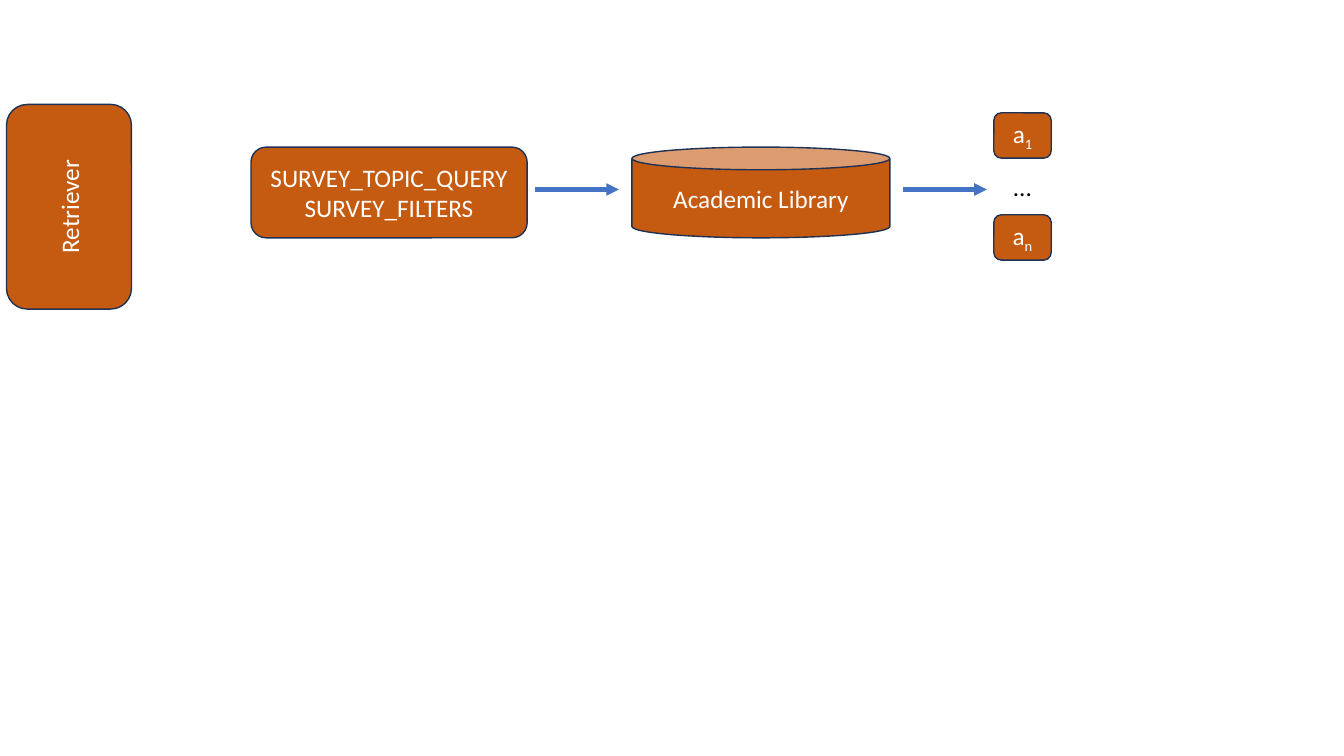
from lxml import etree
from pptx import Presentation
from pptx.dml.color import RGBColor
from pptx.enum import shapes, text
from pptx.oxml import ns
from pptx.util import Pt

RUST = RGBColor(0xC5, 0x5A, 0x11)
NAVY = RGBColor(0x1E, 0x32, 0x56)
BLUE = RGBColor(0x44, 0x72, 0xC4)
WHITE = RGBColor(0xFF, 0xFF, 0xFF)
BLACK = RGBColor(0, 0, 0)
ROUND = shapes.MSO_SHAPE.ROUNDED_RECTANGLE
CAN = shapes.MSO_SHAPE.CAN


class Board:
    """Draws the retriever flow on one slide in a shared style."""

    font, size = "Calibri", Pt(18)

    def __init__(self, slide):
        self.shapes = slide.shapes

    def letter(self, frame, lines, color, align):
        for i, line in enumerate(lines):
            para = frame.paragraphs[0] if i == 0 else frame.add_paragraph()
            para.alignment = align
            for word, base in line:
                run = para.add_run()
                run.text = word
                run.font.name, run.font.size = self.font, self.size
                run.font.color.rgb = color
                if base:
                    run.font._element.set("baseline", str(base))

    def node(self, kind, x, y, w, h, lines, turn=0):
        node = self.shapes.add_shape(kind, Pt(x), Pt(y), Pt(w), Pt(h))
        node.shadow.inherit = False
        node.rotation = turn
        node.fill.solid()
        node.fill.fore_color.rgb = RUST
        node.line.color.rgb = NAVY
        node.line.width = Pt(1)
        node.text_frame.word_wrap = True
        node.text_frame.vertical_anchor = text.MSO_ANCHOR.MIDDLE
        self.letter(node.text_frame, lines, WHITE, text.PP_ALIGN.CENTER)

    def label(self, x, y, w, h, lines):
        frame = self.shapes.add_textbox(Pt(x), Pt(y), Pt(w), Pt(h)).text_frame
        frame.word_wrap = False
        frame.auto_size = text.MSO_AUTO_SIZE.SHAPE_TO_FIT_TEXT
        self.letter(frame, lines, BLACK, text.PP_ALIGN.LEFT)

    def arrow(self, x, y, w):
        arrow = self.shapes.add_connector(
            shapes.MSO_CONNECTOR.STRAIGHT, Pt(x), Pt(y), Pt(x + w), Pt(y))
        arrow.line.color.rgb = BLUE
        arrow.line.width = Pt(3)
        props = arrow._element.spPr
        tip = etree.SubElement(props.find(ns.qn("a:ln")), ns.qn("a:tailEnd"))
        tip.set("type", "triangle")
        etree.SubElement(props, ns.qn("a:effectLst"))


deck = Presentation()
deck.slide_width, deck.slide_height = Pt(960), Pt(540)
board = Board(deck.slides.add_slide(deck.slide_layouts[6]))

board.node(ROUND, 179.3, 105.1, 197.3, 64.8,
           [[("SURVEY_TOPIC_QUERY", 0)], [("SURVEY_FILTERS", 0)]])
board.node(CAN, 451.4, 105.1, 184.3, 64.8, [[("Academic Library", 0)]])
for y, sub in ((80.6, "1"), (153.4, "n")):
    board.node(ROUND, 709.9, y, 41, 32.4, [[("a", 0), (sub, -25000)]])
board.label(716.4, 118.8, 28.1, 28.8, [[("...", 0)]])
for x in (382.3, 645.1):
    board.arrow(x, 135.4, 59.8)
board.node(ROUND, -23.8, 103, 146.2, 89.3, [[("Retriever", 0)]], 270)

deck.save("out.pptx")
